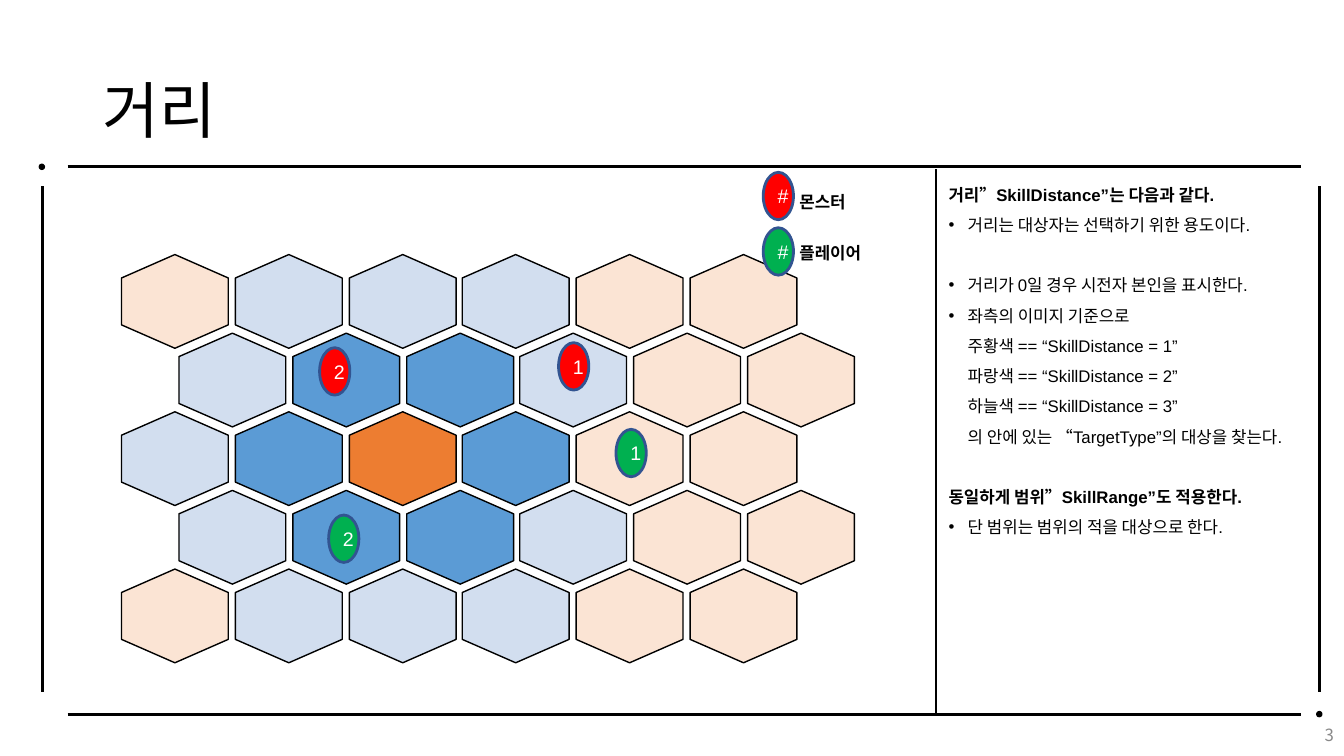
"""Builds the slide on skill distance over a hexagonal grid."""
from lxml.etree import SubElement
from pptx import Presentation
from pptx.dml.color import RGBColor
from pptx.enum.shapes import MSO_CONNECTOR as Connector, MSO_SHAPE as Shape
from pptx.enum.text import MSO_ANCHOR as Anchor, PP_ALIGN as Align
from pptx.oxml.ns import qn
from pptx.util import Pt

PX = 9144
COLORS = {
    "black": "000000", "white": "FFFFFF", "gray": "888888", "outline": "325491",
    "monster": "FF0000", "player": "00B050",
    "far": "FBE4D4", "three": "D2DEEF", "two": "5B9BD5", "one": "ED7D31",
}
LATIN, HANGUL = "Arial", "Noto Sans CJK KR"

TITLE = "거리"
NOTES = [
    ("heading", "거리”SkillDistance”는 다음과 같다.", 0),
    ("bullet", "거리는 대상자는 선택하기 위한 용도이다.", 0),
    ("bullet", "거리가 0일 경우 시전자 본인을 표시한다.", 1),
    ("bullet", "좌측의 이미지 기준으로\n"
               "주황색 == “SkillDistance = 1”\n"
               "파랑색 == “SkillDistance = 2”\n"
               "하늘색 == “SkillDistance = 3”\n"
               "의 안에 있는 “TargetType”의 대상을 찾는다.", 0),
    ("heading", "동일하게 범위”SkillRange”도 적용한다.", 1),
    ("bullet", "단 범위는 범위의 적을 대상으로 한다.", 0),
]
BLANK_LINE = 21.6
GRID = ["F333FF", "3223FF", "3212FF", "3223FF", "F333FF"]
DISTANCES = {"F": "far", "3": "three", "2": "two", "1": "one"}
TOKENS = [
    ("1", "player", 611, 426), ("2", "player", 326, 511),
    ("2", "monster", 317, 345), ("1", "monster", 554, 340),
    ("#", "monster", 757, 171), ("#", "player", 757, 226),
]
LEGEND = [("몬스터", 175), ("플레이어", 226)]
FRAME = [
    (67, 165, 1290, 165, 2.25), (67, 709, 1290, 709, 2.25),
    (42, 185, 42, 687, 2.25), (1309, 185, 1309, 687, 2.25),
    (928, 168, 928, 709, 1.5),
]
DOTS = [(1306, 706), (39, 163)]

HEX_WIDTH, HEX_HEIGHT = 93, 106
GRID_LEFT, GRID_TOP = 127, 246
COLUMN_STEP, ROW_STEP, ROW_SHIFT = 112.8, 78, 57


def emu(*lengths):
    return [round(length) * PX for length in lengths]


def color(name):
    return RGBColor.from_string(COLORS[name])


def style(para, size, ink, latin=LATIN, bold=False):
    para.font.size = Pt(size)
    para.font.bold = bold
    para.font.color.rgb = color(ink)
    para.font.name = latin
    SubElement(para.font._element, qn("a:ea"), typeface=HANGUL)


def add_line(page, x1, y1, x2, y2, width):
    line = page.shapes.add_connector(Connector.STRAIGHT, *emu(x1, y1, x2, y2))
    line.line.color.rgb = color("black")
    line.line.width = Pt(width)
    SubElement(line._element.spPr, qn("a:effectLst"))


def add_figure(page, kind, place, fill, outline="black", width=1):
    figure = page.shapes.add_shape(kind, *emu(*place))
    figure.shadow.inherit = False
    figure.fill.solid()
    figure.fill.fore_color.rgb = color(fill)
    figure.line.color.rgb = color(outline)
    figure.line.width = Pt(width)
    return figure


def add_text(page, place, anchor=Anchor.TOP):
    frame = page.shapes.add_textbox(*emu(*place)).text_frame
    frame.word_wrap = True
    frame.vertical_anchor = anchor
    return frame


def add_label(page, place, text, size, ink, latin, spacing=1.0,
              bold=False, align=Align.LEFT, anchor=Anchor.MIDDLE):
    para = add_text(page, place, anchor).paragraphs[0]
    para.text = text
    para.alignment = align
    para.line_spacing = spacing
    style(para, size, ink, latin, bold)


def add_notes(page):
    frame = add_text(page, (931, 168, 400, 370))
    for index, (kind, text, gaps) in enumerate(NOTES):
        para = frame.add_paragraph() if index else frame.paragraphs[0]
        para.text = text
        para.line_spacing = 1.5
        if gaps:
            para.space_before = Pt(BLANK_LINE * gaps)
        if kind == "bullet":
            props = para._p.get_or_add_pPr()
            props.set("marL", str(19 * PX))
            props.set("indent", str(-19 * PX))
            SubElement(props, qn("a:buFont"), typeface=LATIN)
            SubElement(props, qn("a:buChar"), char="•")
        style(para, 12, "black", bold=kind == "heading")


def add_grid(page):
    for row, cells in enumerate(GRID):
        for column, cell in enumerate(cells):
            left = GRID_LEFT + column * COLUMN_STEP + row % 2 * ROW_SHIFT
            top = GRID_TOP + row * ROW_STEP
            tile = add_figure(page, Shape.HEXAGON,
                              (left, top, HEX_WIDTH, HEX_HEIGHT), DISTANCES[cell])
            tile.adjustments[0] = 0.25
            tile.rotation = 270


def add_tokens(page):
    for text, owner, left, top in TOKENS:
        token = add_figure(page, Shape.OVAL, (left, top, 30, 47), owner, "outline", 2)
        para = token.text_frame.paragraphs[0]
        para.text = text
        para.alignment = Align.CENTER
        style(para, 14, "white")


def main():
    deck = Presentation()
    deck.slide_width, deck.slide_height = emu(1333, 750)
    page = deck.slides.add_slide(deck.slide_layouts[6])
    add_label(page, (92, 40, 1150, 145), TITLE, 44, "black", HANGUL, 0.9)
    for line in FRAME:
        add_line(page, *line)
    for left, top in DOTS:
        add_figure(page, Shape.OVAL, (left, top, 5, 5), "black")
    add_label(page, (1033, 709, 300, 40), "3", 12, "gray", HANGUL, align=Align.RIGHT)
    add_notes(page)
    add_grid(page)
    add_tokens(page)
    for text, top in LEGEND:
        add_label(page, (783, top, 147, 36), text, 12, "black", LATIN, 1.5,
                  bold=True, anchor=Anchor.TOP)
    deck.save("out.pptx")


if __name__ == "__main__":
    main()
